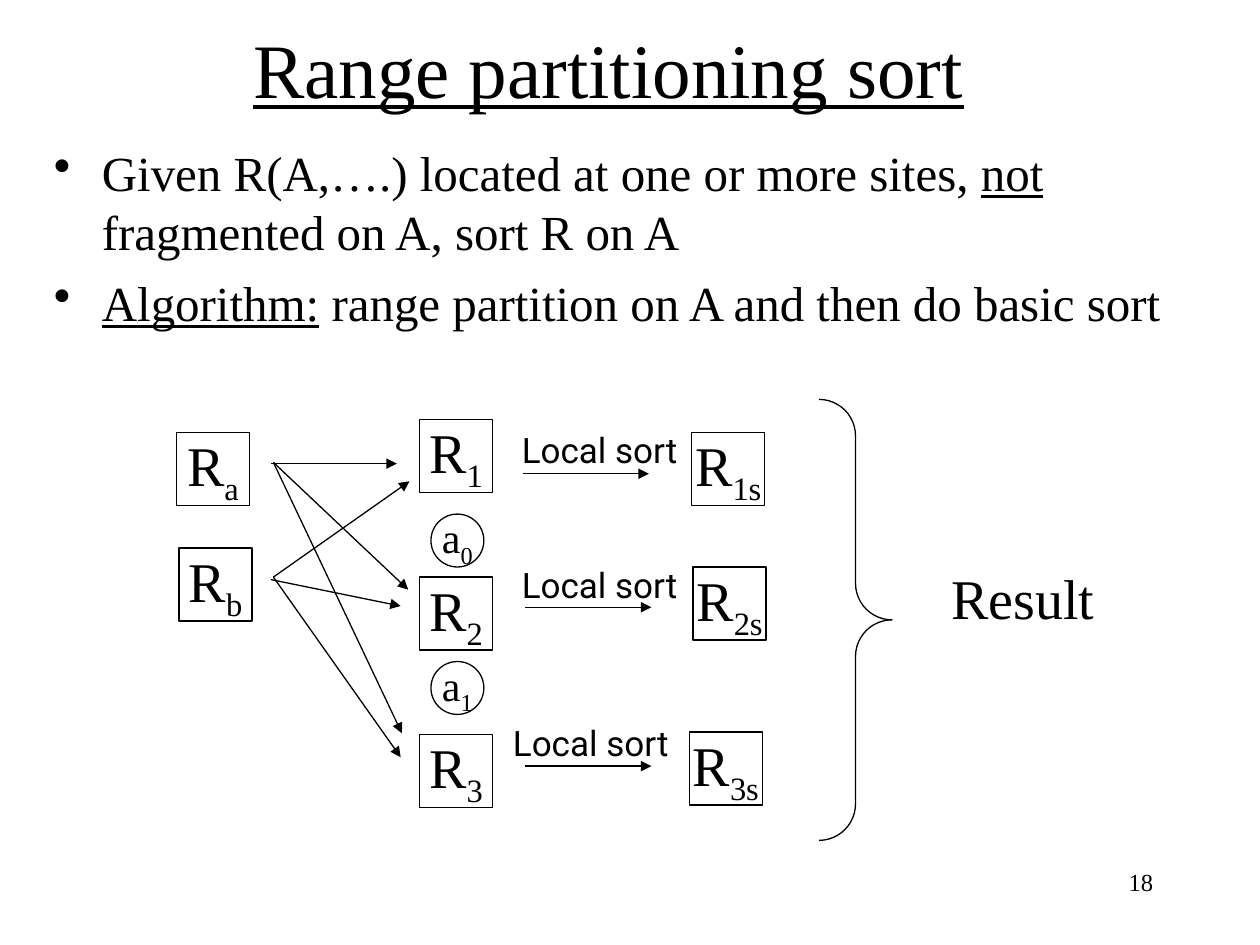
from lxml.etree import SubElement
from pptx import Presentation
from pptx.dml.color import RGBColor
from pptx.enum.shapes import MSO_CONNECTOR, MSO_SHAPE
from pptx.enum.text import MSO_ANCHOR, PP_ALIGN
from pptx.oxml.ns import qn
from pptx.util import Inches, Pt

BLACK, WHITE = "000000", "FFFFFF"
SERIF, SANS = "Times New Roman", "Roboto"


def paint(fill, color):
    fill.solid()
    fill.fore_color.rgb = RGBColor.from_string(color)


def write(frame, *paragraphs, size, font=SERIF, color=BLACK, align=PP_ALIGN.CENTER,
          anchor=MSO_ANCHOR.MIDDLE, wrap=False, bullet=None, gap=0):
    """Fill a frame; each paragraph is a list of (text, style), style "", "underline" or "sub"."""
    frame.word_wrap = wrap
    frame.vertical_anchor = anchor
    for index, runs in enumerate(paragraphs):
        paragraph = frame.add_paragraph() if index else frame.paragraphs[0]
        paragraph.alignment = align
        if index:
            paragraph.space_before = Pt(gap)
        if bullet:
            properties = paragraph._p.get_or_add_pPr()
            properties.set("marL", str(Inches(0.38)))
            properties.set("indent", str(-Inches(0.38)))
            SubElement(properties, qn("a:buChar")).set("char", bullet)
        for text, style in runs:
            run = paragraph.add_run()
            run.text = text
            run.font.name = font
            run.font.size = Pt(size)
            paint(run.font.fill, color)
            if style == "underline":
                run.font.underline = True
            elif style == "sub":
                run._r.get_or_add_rPr().set("baseline", "-25000")


presentation = Presentation()
presentation.slide_width = Inches(10)
presentation.slide_height = Inches(7.5)
slide = presentation.slides.add_slide(presentation.slide_layouts[6])
shapes = slide.shapes
paint(slide.background.fill, WHITE)

# Title, bullets, result label and page number
title = shapes.add_textbox(Inches(0.58), Inches(0.17), Inches(8.5), Inches(0.74))
write(title.text_frame, [("Range partitioning sort", "underline")], size=44, wrap=True)

problem = shapes.add_textbox(Inches(0.33), Inches(1.08), Inches(9.42), Inches(1.75))
write(
    problem.text_frame,
    [("Given R(A,….) located at one or more sites, ", ""),
     ("not ", "underline"),
     ("fragmented on A, sort R on A", "")],
    [("Algorithm:", "underline"),
     (" range partition on A and then do basic sort", "")],
    size=28, align=PP_ALIGN.LEFT, anchor=MSO_ANCHOR.TOP, wrap=True, bullet="•", gap=7,
)

result = shapes.add_textbox(Inches(7.45), Inches(4.42), Inches(1.34), Inches(0.64))
write(result.text_frame, [("Result", "")], size=32)

page_number = shapes.add_textbox(Inches(7.17), Inches(6.83), Inches(2.08), Inches(0.5))
write(page_number.text_frame, [("18", "")], size=14, align=PP_ALIGN.RIGHT,
      anchor=MSO_ANCHOR.TOP, wrap=True)

# Relations in squares, range boundaries in circles
relation = (MSO_SHAPE.RECTANGLE, 0.58, 32, "R")
boundary = (MSO_SHAPE.OVAL, 0.42, 24, "a")
nodes = [
    (relation, "a", 1.4, 3.43),
    (relation, "b", 1.42, 4.35),
    (relation, "1", 3.33, 3.33),
    (relation, "2", 3.33, 4.58),
    (relation, "3", 3.33, 5.83),
    (relation, "1s", 5.49, 3.43),
    (relation, "2s", 5.5, 4.5),
    (relation, "3s", 5.47, 5.81),
    (boundary, "0", 3.42, 4.08),
    (boundary, "1", 3.42, 5.25),
]
for (outline, side, size, letter), subscript, left, top in nodes:
    node = shapes.add_shape(outline, Inches(left), Inches(top), Inches(side), Inches(side))
    node.shadow.inherit = False
    paint(node.fill, WHITE)
    paint(node.line.fill, BLACK)
    node.line.width = Pt(0.75)
    write(node.text_frame, [(letter, ""), (subscript, "sub")], size=size)

# Local sort labels
for left, top in [(4.03, 3.35), (4.03, 4.42), (3.96, 5.67)]:
    local_sort = shapes.add_textbox(Inches(left), Inches(top), Inches(1.46), Inches(0.44))
    write(local_sort.text_frame, [("Local sort", "")], size=20, font=SANS)

# Arrows: range partitioning first, then the local sorts
arrows = [
    (2.15, 3.68, 3.15, 3.68),
    (2.17, 3.67, 3.24, 4.68),
    (2.17, 3.67, 3.19, 5.82),
    (2.17, 4.58, 3.25, 3.82),
    (2.15, 4.6, 3.18, 4.81),
    (2.17, 4.58, 3.18, 6.01),
    (4.15, 3.76, 5.15, 3.76),
    (4.17, 4.82, 5.17, 4.82),
    (4.17, 6.08, 5.17, 6.08),
]
for ends in arrows:
    arrow = shapes.add_connector(MSO_CONNECTOR.STRAIGHT, *map(Inches, ends))
    paint(arrow.line.fill, BLACK)
    arrow.line.width = Pt(0.75)
    SubElement(arrow.line._get_or_add_ln(), qn("a:tailEnd")).set("type", "triangle")
    SubElement(arrow._element.spPr, qn("a:effectLst"))

# Brace gathering the sorted fragments
brace = shapes.add_shape(MSO_SHAPE.RIGHT_BRACE, Inches(6.5), Inches(3.17), Inches(0.58), Inches(3.5))
brace.adjustments[0] = 0.5
brace.shadow.inherit = False
brace.fill.background()
paint(brace.line.fill, BLACK)
brace.line.width = Pt(0.75)

presentation.save("out.pptx")
